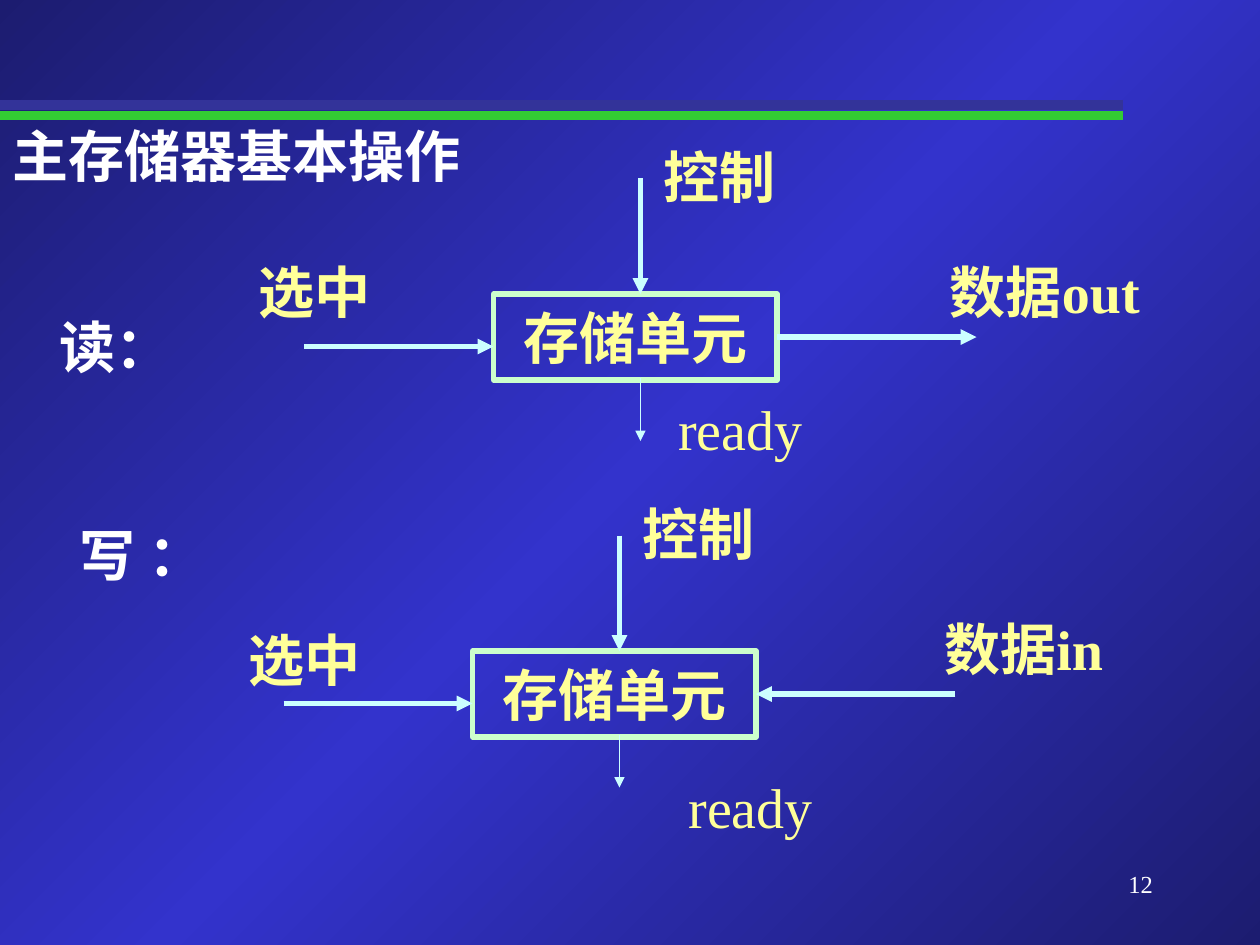
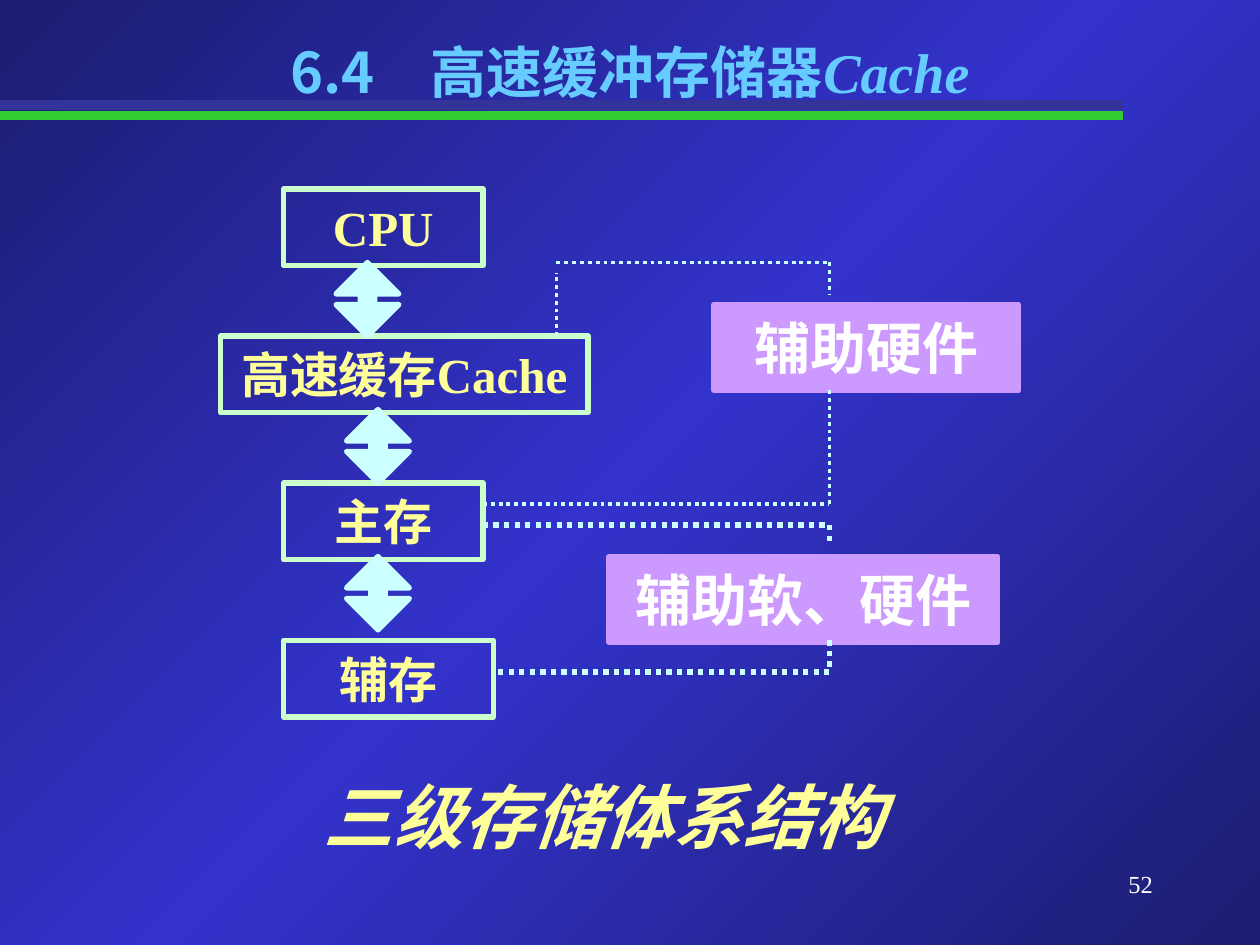
from copy import deepcopy
from lxml import etree
from pptx import Presentation
from pptx.dml.color import RGBColor
from pptx.enum.dml import MSO_LINE
from pptx.enum.shapes import MSO_CONNECTOR, MSO_SHAPE
from pptx.enum.text import MSO_ANCHOR, MSO_AUTO_SIZE, PP_ALIGN
from pptx.oxml.ns import qn
from pptx.util import Inches, Pt

STRAIGHT = MSO_CONNECTOR.STRAIGHT
RECTANGLE = MSO_SHAPE.RECTANGLE
DOUBLE_ARROW = MSO_SHAPE.UP_DOWN_ARROW
DOTTED = MSO_LINE.ROUND_DOT
LEFT, CENTER, RIGHT = PP_ALIGN.LEFT, PP_ALIGN.CENTER, PP_ALIGN.RIGHT
MIDDLE = MSO_ANCHOR.MIDDLE
NO_AUTOFIT = MSO_AUTO_SIZE.NONE

CELL = Inches(1) // 12
SERIF, SANS = "Times New Roman", "Noto Sans CJK SC"
WHITE, YELLOW, SKY = "FFFFFF", "FFFF99", "66CCFF"
AQUA, MINT, LILAC = "CCFFFF", "CCFFCC", "CC99FF"
NAVY, BLUE, GREEN, INDIGO = "1C1C70", "3333CC", "33CC33", "333399"
TEXT_ROWS, UNIT_ROWS, LEVEL_ROWS = 7.5, 8.2, 7.3
color = RGBColor.from_string


def put_text(slide, area, text, ink=YELLOW, size=32, bold=True, italic=False,
             align=CENTER, face=SERIF, outline=None, fill=None, box=None):
    column, row, columns, rows = [round(value * CELL) for value in area]
    if outline:
        box = slide.shapes.add_shape(RECTANGLE, column, row, columns, rows)
        box.shadow.inherit = False
        box.line.color.rgb = color(outline)
        box.line.width = Pt(3)
        box.fill.background()
        if fill:
            box.fill.solid()
            box.fill.fore_color.rgb = color(fill)
    elif box is None:
        box = slide.shapes.add_textbox(column, row, columns, rows)
    else:
        box.left, box.top, box.width, box.height = column, row, columns, rows
    frame = box.text_frame
    frame.text = text
    frame.word_wrap = True
    frame.auto_size = NO_AUTOFIT
    frame.vertical_anchor = MIDDLE
    frame.margin_top = frame.margin_bottom = 0
    if align == CENTER:
        frame.margin_left = frame.margin_right = 0
    para = frame.paragraphs[0]
    para.alignment = align
    font = para.runs[0].font
    font.name, font.size, font.bold, font.italic = face, Pt(size), bold, italic
    font.color.rgb = color(ink)
    etree.SubElement(font._element, qn("a:ea"), typeface=SANS)
    return box


def add_line(slide, start, end, ink=AQUA, width=3, dash=None, arrow=False):
    points = [round(value * CELL) for value in (*start, *end)]
    line = slide.shapes.add_connector(STRAIGHT, *points)
    line.line.color.rgb = color(ink)
    line.line.width = Pt(width)
    if dash:
        line.line.dash_style = dash
    if arrow:
        etree.SubElement(line.line._ln, qn("a:tailEnd"), type="triangle")
    etree.SubElement(line._element.spPr, qn("a:effectLst"))
    return line


deck = Presentation()
deck.slide_width, deck.slide_height = Inches(10), Inches(7.5)
master = deck.slide_master

backdrop = master.background.fill
backdrop.gradient()
backdrop.gradient_angle = 315
first_stop = backdrop.gradient_stops[0]._gs
first_stop.addnext(deepcopy(first_stop))
for stop, shade, position in zip(backdrop.gradient_stops, (NAVY, BLUE, NAVY), (0, 0.5, 1)):
    stop.color.rgb = color(shade)
    stop.position = position

operations, hierarchy = [deck.slides.add_slide(deck.slide_layouts[5]) for _ in range(2)]

for row, ink in ((11, GREEN), (10, INDIGO)):
    band = add_line(operations, (0, row), (107, row), ink, 5.5)
    master.shapes._spTree.append(band._element)

for slide, number in ((operations, "12"), (hierarchy, "52")):
    put_text(slide, (86, 82, 25, 4.4), number, WHITE, 14, bold=False, align=RIGHT)

put_text(operations, (0, 11, 54, TEXT_ROWS), "主存储器基本操作", WHITE, align=LEFT,
         box=operations.shapes.title)
put_text(operations, (2, 29.25, 18, TEXT_ROWS), "读：", WHITE)
put_text(operations, (4, 49, 19, TEXT_ROWS), "写 ：", WHITE)

for x, y, data, is_read, select_at, ready_at, ready_columns, ready_end in (
    (47, 28, "数据out", True, (20, 24), (63, 37), 15, 14),
    (45, 62, "数据in", False, (19, 59), (62, 73), 19, 13),
):
    unit = put_text(operations, (x, y, 27, UNIT_ROWS), "存储单元", outline=MINT)
    put_text(operations, (*select_at, 20, TEXT_ROWS), "选中")
    put_text(operations, (x + 15, y - 15, 27, TEXT_ROWS), "控制", align=LEFT, face=SANS)
    put_text(operations, (x + 39, y - 4, 27, TEXT_ROWS), data)
    put_text(operations, (*ready_at, ready_columns, TEXT_ROWS), "ready", bold=False)
    add_line(operations, (x + 14, y - 11), (x + 14, y), arrow=True)
    add_line(operations, (x - 18, y + 5), (x, y + 5), arrow=True)
    add_line(operations, (x + 14, y + 8), (x + 14, y + ready_end), width=0.75, arrow=True)
    near, far = (x + 27, y + UNIT_ROWS / 2), (x + 46, y + UNIT_ROWS / 2)
    if is_read:
        add_line(operations, near, far, arrow=True).begin_connect(unit, 3)
    else:
        add_line(operations, far, near, arrow=True).end_connect(unit, 3)

title = put_text(hierarchy, (0, 3, 120, TEXT_ROWS), "6.4　高速缓冲存储器", SKY, face=SANS,
                 box=hierarchy.shapes.title)
span = title.text_frame.paragraphs[0].add_run()
span.text = "Cache"
span.font.name, span.font.size = SERIF, Pt(32)
span.font.bold = span.font.italic = True
span.font.color.rgb = color(SKY)

for column, row, columns, level in (
    (27, 18, 19, "CPU"),
    (21, 32, 35, "高速缓存Cache"),
    (27, 46, 19, "主存"),
    (27, 61, 20, "辅存"),
):
    put_text(hierarchy, (column, row, columns, LEVEL_ROWS), level, size=28, outline=MINT)

for column, row in ((32, 25), (33, 39), (33, 53)):
    arrow = hierarchy.shapes.add_shape(DOUBLE_ARROW, column * CELL, row * CELL, 6 * CELL, 7 * CELL)
    arrow.adjustments[0], arrow.adjustments[1] = 0.5, 0.23
    arrow.shadow.inherit = False
    arrow.fill.solid()
    arrow.fill.fore_color.rgb = color(AQUA)
    arrow.line.color.rgb = color(AQUA)
    arrow.line.width = Pt(3)

for column, row, columns, support in ((68, 29, 29, "辅助硬件"), (58, 53, 37, "辅助软、硬件")):
    put_text(hierarchy, (column, row, columns, UNIT_ROWS), support, WHITE,
             outline=LILAC, fill=LILAC)

for width, corners in (
    (3, ((46, 50), (79, 50), (79, 52))),
    (3, ((79, 61), (79, 64), (47, 64))),
    (2.25, ((46, 48), (79, 48), (79, 37))),
    (2.25, ((53, 32), (53, 26))),
    (2.25, ((53, 25), (79, 25), (79, 28))),
):
    for start, end in zip(corners, corners[1:]):
        add_line(hierarchy, start, end, width=width, dash=DOTTED)

put_text(hierarchy, (7, 73, 101, 9.25), "三级存储体系结构", size=40, italic=True)

deck.save("out.pptx")
